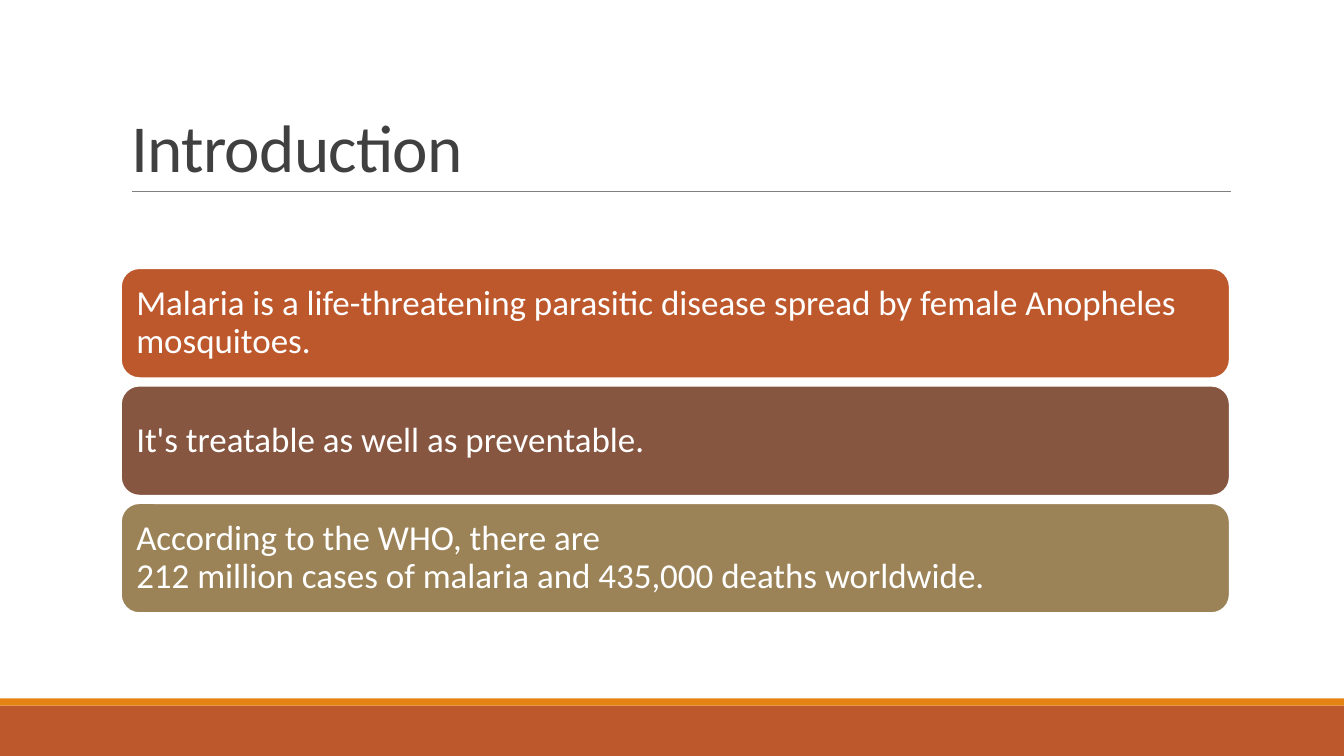
from pptx import Presentation
from pptx.dml.color import RGBColor
from pptx.enum import shapes, text
from pptx.oxml import ns, xmlchemy
from pptx.util import Cm, Pt

WHITE = RGBColor(0xFF, 0xFF, 0xFF)
RUST = RGBColor(0xBD, 0x58, 0x2C)
ORANGE = RGBColor(0xE4, 0x83, 0x12)
BROWN = RGBColor(0x86, 0x56, 0x40)
OLIVE = RGBColor(0x9B, 0x83, 0x57)
GREY = RGBColor(0x80, 0x80, 0x80)
DARK = RGBColor(0x40, 0x40, 0x40)

FONT = "Calibri"
TITLE = "Introduction"
FACTS = [
    (RUST, ["Malaria is a life-threatening parasitic disease spread by female Anopheles ",
            "mosquitoes."]),
    (BROWN, ["It's treatable as well as preventable."]),
    (OLIVE, ["According to the WHO, there are ",
             "212 million cases of malaria and 435,000 deaths worldwide."]),
]
FOOTER_BARS = [(RUST, 17.78, 1.27), (ORANGE, 17.6, 0.18)]

SLIDE_WIDTH, SLIDE_HEIGHT = 33.87, 19.05
LEFT, WIDTH = 3.05, 27.94
FACT_TOP, FACT_HEIGHT, FACT_GAP = 6.76, 2.77, 0.19


def add_block(slide, kind, left, top, width, height, color):
    shape = slide.shapes.add_shape(kind, Cm(left), Cm(top), Cm(width), Cm(height))
    shape.shadow.inherit = False
    shape.fill.solid()
    shape.fill.fore_color.rgb = color
    shape.line.fill.background()
    return shape


def format_paragraph(paragraph, size, color, spacing):
    paragraph.alignment = text.PP_ALIGN.LEFT
    paragraph.line_spacing = spacing
    paragraph.font.name = FONT
    paragraph.font.size = Pt(size)
    paragraph.font.color.rgb = color


def add_title(slide):
    title = slide.shapes.title
    title.left, title.top, title.width, title.height = Cm(LEFT), Cm(0.79), Cm(WIDTH), Cm(4.04)
    frame = title.text_frame
    frame.text = TITLE
    frame.auto_size = text.MSO_AUTO_SIZE.NONE
    frame.vertical_anchor = text.MSO_ANCHOR.BOTTOM
    paragraph = frame.paragraphs[0]
    format_paragraph(paragraph, 48, DARK, 0.85)
    paragraph._p.pPr.find(ns.qn("a:defRPr")).set("spc", "-50")


def add_rule(slide):
    rule = slide.shapes.add_connector(
        shapes.MSO_CONNECTOR.STRAIGHT, Cm(3.33), Cm(4.83), Cm(31.01), Cm(4.83))
    rule.line.color.rgb = GREY
    rule.line.width = Pt(0.5)
    rule._element.spPr.append(xmlchemy.OxmlElement("a:effectLst"))


def add_fact(slide, index, color, lines):
    top = FACT_TOP + index * (FACT_HEIGHT + FACT_GAP)
    box = add_block(slide, shapes.MSO_SHAPE.ROUNDED_RECTANGLE,
                    LEFT, top, WIDTH, FACT_HEIGHT, color)
    box.line.color.rgb = WHITE
    box.line.width = Pt(1.25)
    frame = box.text_frame
    frame.word_wrap = True
    frame.vertical_anchor = text.MSO_ANCHOR.MIDDLE
    frame.margin_left = frame.margin_right = Cm(0.25)
    frame.margin_top = frame.margin_bottom = Cm(0.25)
    paragraph = frame.paragraphs[0]
    format_paragraph(paragraph, 25, WHITE, 0.9)
    for number, line in enumerate(lines):
        if number:
            paragraph.add_line_break()
        paragraph.add_run().text = line


def main():
    presentation = Presentation()
    presentation.slide_width, presentation.slide_height = Cm(SLIDE_WIDTH), Cm(SLIDE_HEIGHT)
    slide = presentation.slides.add_slide(presentation.slide_layouts.get_by_name("Title Only"))
    for color, top, height in FOOTER_BARS:
        add_block(slide, shapes.MSO_SHAPE.RECTANGLE, 0, top, SLIDE_WIDTH, height, color)
    add_rule(slide)
    add_title(slide)
    for index, (color, lines) in enumerate(FACTS):
        add_fact(slide, index, color, lines)
    presentation.save("out.pptx")


if __name__ == "__main__":
    main()
